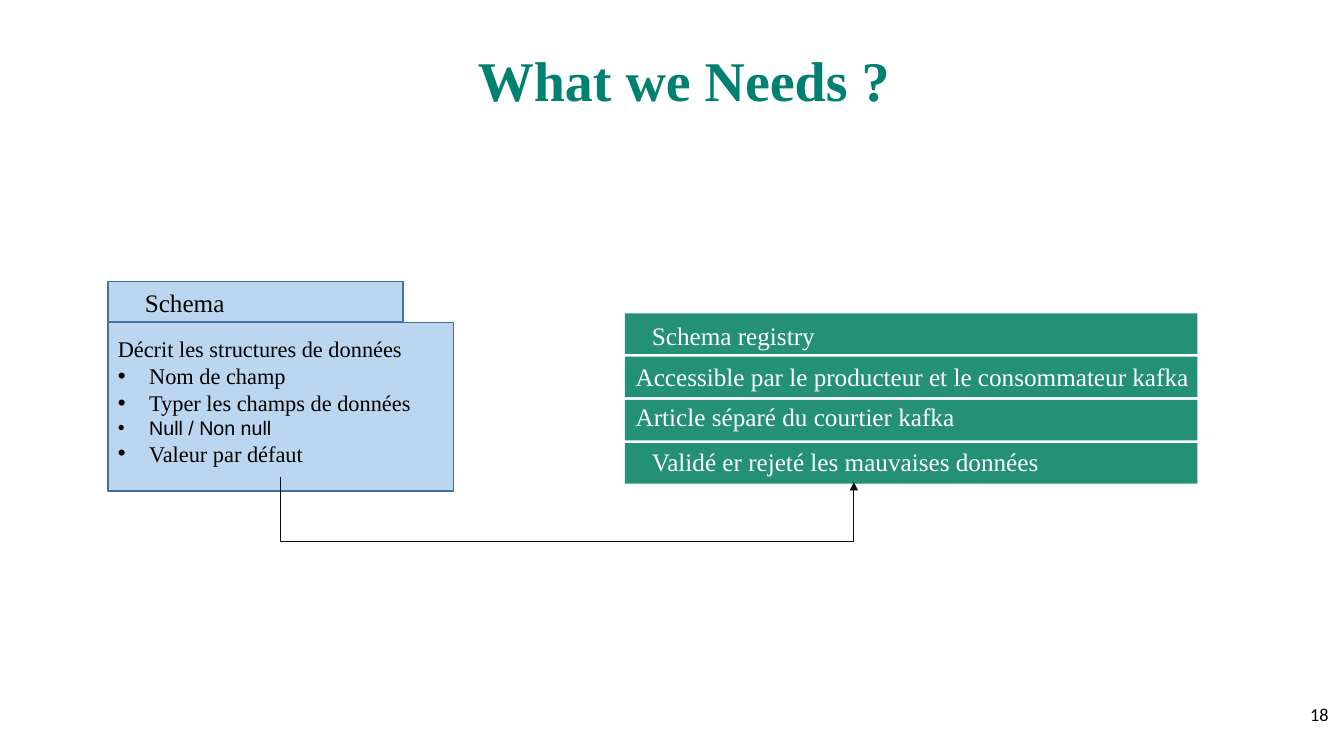
from lxml.etree import SubElement
from pptx import Presentation
from pptx.dml.color import RGBColor
from pptx.enum.shapes import MSO_CONNECTOR, MSO_SHAPE
from pptx.enum.text import MSO_ANCHOR, MSO_AUTO_SIZE, PP_ALIGN
from pptx.oxml.ns import qn
from pptx.util import Cm, Pt

TEAL = RGBColor(0x00, 0x80, 0x71)
GREEN = RGBColor(0x24, 0x91, 0x75)
LIGHT_BLUE = RGBColor(0xBB, 0xD6, 0xEE)
BORDER_BLUE = RGBColor(0x42, 0x71, 0x9B)
BLACK = RGBColor(0x00, 0x00, 0x00)
ARROW_BLACK = RGBColor(0x0C, 0x0C, 0x0C)
WHITE = RGBColor(0xFF, 0xFF, 0xFF)


class SlideBuilder:
    """Holds the text style and the current slide."""

    style = {"name": "Times New Roman", "size": Pt(18), "bold": False}

    def __init__(self, slide):
        self.slide = slide

    def format_paragraph(self, paragraph, text, color, **changes):
        run = paragraph.add_run()
        run.text = text
        for attribute, value in {**self.style, **changes}.items():
            setattr(run.font, attribute, value)
        run.font.color.rgb = color

    def format_frame(self, frame):
        settings = {"word_wrap": True, "auto_size": MSO_AUTO_SIZE.NONE,
                    "vertical_anchor": MSO_ANCHOR.TOP}
        for attribute, value in settings.items():
            setattr(frame, attribute, value)

    def title(self, text, left, top, width, height):
        shape = self.slide.shapes.title
        shape.left, shape.top = Cm(left), Cm(top)
        shape.width, shape.height = Cm(width), Cm(height)
        self.format_frame(shape.text_frame)
        paragraph = shape.text_frame.paragraphs[0]
        paragraph.alignment = PP_ALIGN.LEFT
        self.format_paragraph(paragraph, text, TEAL, size=Pt(40), bold=True)

    def rectangle(self, left, top, width, height, fill, border=None):
        shape = self.slide.shapes.add_shape(
            MSO_SHAPE.RECTANGLE, Cm(left), Cm(top), Cm(width), Cm(height))
        shape.shadow.inherit = False
        shape.fill.solid()
        shape.fill.fore_color.rgb = fill
        if border is None:
            shape.line.fill.background()
        else:
            shape.line.color.rgb = border
            shape.line.width = Pt(1)

    def text_box(self, left, top, width, height=1.02):
        shape = self.slide.shapes.add_textbox(
            Cm(left), Cm(top), Cm(width), Cm(height))
        self.format_frame(shape.text_frame)
        return shape.text_frame

    def label(self, text, left, top, width, color):
        paragraph = self.text_box(left, top, width).paragraphs[0]
        self.format_paragraph(paragraph, text, color)

    def bullet(self, frame, text, **changes):
        paragraph = frame.add_paragraph()
        properties = paragraph._p.get_or_add_pPr()
        properties.set("marL", str(Cm(0.79)))
        properties.set("indent", str(-Cm(0.79)))
        SubElement(properties, qn("a:buFont")).set("typeface", "Arial")
        SubElement(properties, qn("a:buChar")).set("char", "•")
        self.format_paragraph(paragraph, text, BLACK, **changes)

    def elbow_arrow(self, start, end, lowest):
        """Runs down from start, across, and up to end."""
        (start_x, start_y), (end_x, end_y) = start, end
        rise, span = end_y - start_y, end_x - start_x
        left = (start_x + end_x - rise) / 2
        top = (start_y + end_y - span) / 2
        connector = self.slide.shapes.add_connector(
            MSO_CONNECTOR.ELBOW, Cm(left), Cm(top), Cm(left + rise), Cm(top + span))
        connector.line.color.rgb = ARROW_BLACK
        connector.line.width = Pt(0.75)
        properties = connector._element.spPr
        transform = properties.find(qn("a:xfrm"))
        transform.set("rot", str(270 * 60000))
        transform.set("flipH", "1")
        guides = properties.find(qn("a:prstGeom")).find(qn("a:avLst"))
        bend = round((lowest - start_y) / rise * 100000)
        guide = SubElement(guides, qn("a:gd"))
        guide.set("name", "adj1")
        guide.set("fmla", f"val {bend}")
        SubElement(properties.find(qn("a:ln")), qn("a:tailEnd")).set("type", "triangle")
        SubElement(properties, qn("a:effectLst"))


def main():
    presentation = Presentation()
    presentation.slide_width, presentation.slide_height = Cm(33.87), Cm(19.05)
    slide = presentation.slides.add_slide(presentation.slide_layouts[5])
    builder = SlideBuilder(slide)
    builder.title("What we Needs ?", 11.79, 1.02, 14.8, 1.96)

    # Schema card with its tab
    builder.rectangle(2.72, 7.09, 7.44, 1.02, LIGHT_BLUE, BORDER_BLUE)
    builder.rectangle(2.72, 8.13, 8.71, 4.24, LIGHT_BLUE, BORDER_BLUE)
    builder.label("Schema", 3.4, 7.11, 5.23, BLACK)
    frame = builder.text_box(2.72, 8.33, 8.71, 3.68)
    builder.format_paragraph(frame.paragraphs[0], "Décrit les structures de données",
                             BLACK, size=Pt(16))
    for text, font, size in (("Nom de champ", "Times New Roman", 16),
                             ("Typer les champs de données", "Times New Roman", 16),
                             ("Null / Non null", "Arial", 14),
                             ("Valeur par défaut", "Times New Roman", 16)):
        builder.bullet(frame, text, name=font, size=Pt(size))

    # Schema registry bars
    registry = (
        ("Schema registry", 16.18, 7.95, 7.9),
        ("Accessible par le producteur et le consommateur kafka", 15.77, 8.99, 16.2),
        ("Article séparé du courtier kafka", 15.77, 9.98, 13.89),
        ("Validé er rejeté les mauvaises données", 16.18, 11.13, 10.69),
    )
    for row, (text, left, top, width) in enumerate(registry):
        builder.rectangle(15.75, 7.9 + row * 1.09, 14.43, 1.02, GREEN)
        builder.label(text, left, top, width, WHITE)

    # Arrow from the schema to the registry
    builder.elbow_arrow((7.07, 12.01), (21.52, 12.15), 13.64)

    # Slide number
    paragraph = builder.text_box(31.7, 17.6, 2.03, 1.45).paragraphs[0]
    paragraph.alignment = PP_ALIGN.RIGHT
    builder.format_paragraph(paragraph, "18", BLACK, name="Calibri", size=Pt(13))

    presentation.save("out.pptx")


if __name__ == "__main__":
    main()
